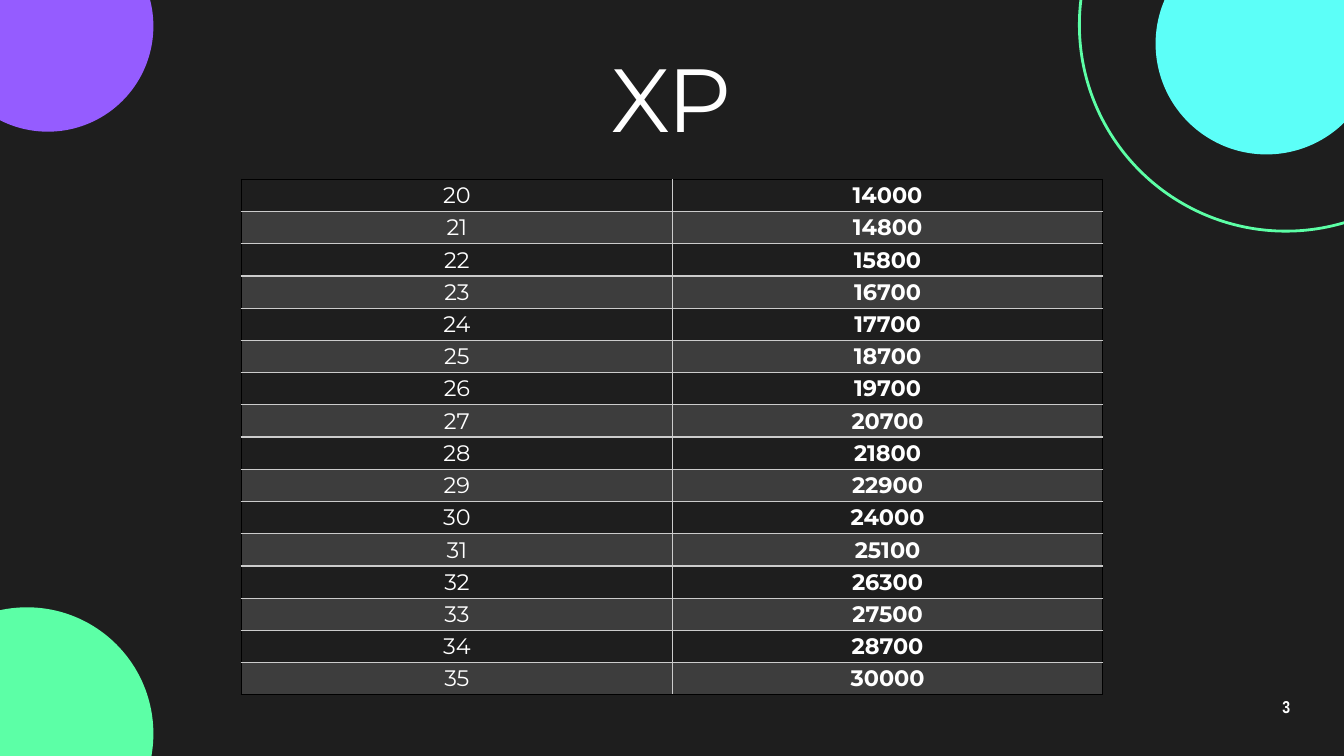
from lxml import etree
from pptx import Presentation
from pptx import util as u
from pptx.dml.color import RGBColor
from pptx.enum import shapes, text
from pptx.oxml import ns

HUES = {"back": "1E1E1E", "band": "3D3D3D", "white": "FFFFFF", "grid": "CCCCCC",
        "edge": "000000", "green": "5CFFA6", "cyan": "5CFFF8", "violet": "955CFF"}
POINTS = [14000, 14800, 15800, 16700, 17700, 18700, 19700, 20700,
          21800, 22900, 24000, 25100, 26300, 27500, 28700, 30000]
FIRST = 20


def hue(name):
    return RGBColor.from_string(HUES[name])


class Deck:
    def __init__(self):
        self.show = Presentation()
        self.show.slide_width, self.show.slide_height = u.Cm(25.4), u.Cm(14.29)
        self.slide = self.show.slides.add_slide(self.show.slide_layouts[6])
        back = self.slide.background.fill
        back.solid()
        back.fore_color.rgb = hue("back")

    def circle(self, left, top, size, fill=None, line=None):
        disc = self.slide.shapes.add_shape(
            shapes.MSO_SHAPE.OVAL, *map(u.Cm, (left, top, size, size)))
        disc.shadow.inherit = False
        for part, name in ((disc.fill, fill), (disc.line.fill, line)):
            if name:
                part.solid()
                part.fore_color.rgb = hue(name)
            else:
                part.background()
        if line:
            disc.line.width = u.Pt(1.5)

    def words(self, para, value, style):
        para.alignment = text.PP_ALIGN.CENTER
        run = para.add_run()
        run.text = value
        for key, setting in style.items():
            setattr(run.font, key, setting)
        run.font.color.rgb = hue("white")

    def label(self, area, value, style, space=1.0):
        frame = self.slide.shapes.add_textbox(*map(u.Cm, area)).text_frame
        form = {"word_wrap": True, "vertical_anchor": text.MSO_ANCHOR.MIDDLE}
        form.update({f"margin_{side}": u.Cm(0.25)
                     for side in ("left", "top", "right", "bottom")})
        for key, setting in form.items():
            setattr(frame, key, setting)
        frame.paragraphs[0].line_spacing = space
        self.words(frame.paragraphs[0], value, style)

    def border(self, cell, names):
        # Border lines come before the fill in the cell properties
        props = cell._tc.get_or_add_tcPr()
        for spot, (side, name) in enumerate(names.items()):
            line = etree.Element(ns.qn(f"a:ln{side}"), w=str(u.Pt(0.75)))
            fill = etree.SubElement(line, ns.qn("a:solidFill"))
            etree.SubElement(fill, ns.qn("a:srgbClr"), val=HUES[name])
            props.insert(spot, line)

    def table(self, left, top, widths, high, rows):
        grid = self.slide.shapes.add_table(
            len(rows), len(widths),
            *map(u.Cm, (left, top, sum(widths), high * len(rows)))).table
        grid.first_row = grid.horz_banding = False
        for col, wide in zip(grid.columns, widths):
            col.width = u.Cm(wide)
        last, end = len(rows) - 1, len(widths) - 1
        form = {"vertical_anchor": text.MSO_ANCHOR.BOTTOM,
                "margin_left": u.Cm(0.08), "margin_right": u.Cm(0.08),
                "margin_top": u.Cm(0.05), "margin_bottom": u.Cm(0.05)}
        for r, row in enumerate(rows):
            grid.rows[r].height = u.Cm(high)
            for c, value in enumerate(row):
                cell = grid.cell(r, c)
                for key, setting in form.items():
                    setattr(cell, key, setting)
                self.words(cell.text_frame.paragraphs[0], str(value),
                           {"name": "Montserrat", "size": u.Pt(12), "bold": c == end})
                # Every second row is banded
                if r % 2:
                    cell.fill.solid()
                    cell.fill.fore_color.rgb = hue("band")
                else:
                    cell.fill.background()
                outer = {"L": c == 0, "R": c == end, "T": r == 0, "B": r == last}
                self.border(cell, {side: "edge" if out else "grid"
                                   for side, out in outer.items()})


def main():
    deck = Deck()

    # Corner circles
    deck.circle(20.4, -3.43, 7.8, line="green")
    deck.circle(-1.88, 11.48, 4.78, fill="green")
    deck.circle(21.84, -1.27, 4.19, fill="cyan")
    deck.circle(-1.09, -1.5, 3.99, fill="violet")

    # Title and page number
    deck.label((4.29, 0.56, 16.81, 2.54), "XP",
               {"name": "Montserrat", "size": u.Pt(48), "bold": False})
    deck.label((23.55, 12.95, 1.52, 0.86), "3",
               {"name": "Arial Narrow", "size": u.Pt(9.2), "bold": True}, 0.9)

    # Levels and their points
    deck.table(4.56, 3.39, (8.15, 8.13), 0.6, list(enumerate(POINTS, FIRST)))

    deck.show.save("out.pptx")


if __name__ == "__main__":
    main()
